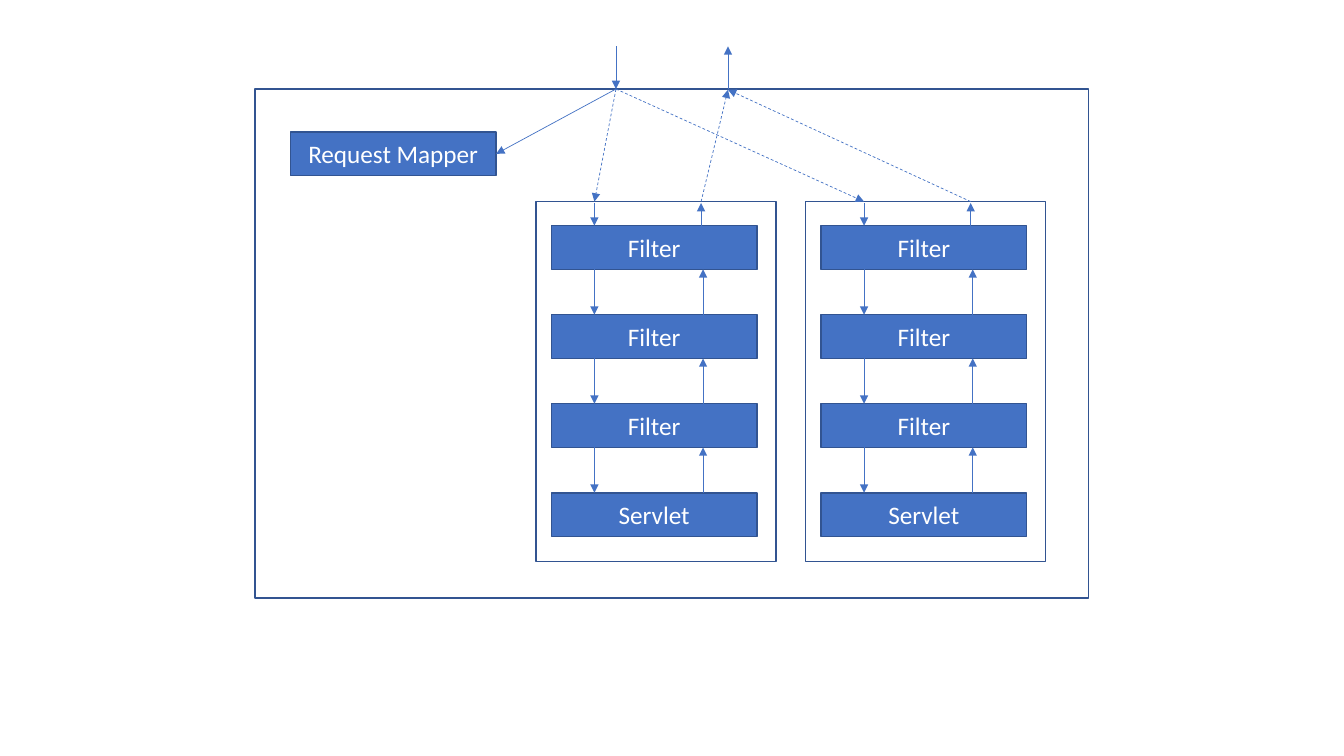
from typing import NamedTuple

from lxml import etree
from pptx import Presentation
from pptx.dml.color import RGBColor
from pptx.enum.dml import MSO_LINE
from pptx.enum.shapes import MSO_CONNECTOR, MSO_SHAPE
from pptx.enum.text import MSO_ANCHOR, PP_ALIGN
from pptx.oxml.ns import qn
from pptx.shapes.shapetree import SlideShapes
from pptx.util import Pt

RECT = MSO_SHAPE.RECTANGLE
STRAIGHT = MSO_CONNECTOR.STRAIGHT
DASH = MSO_LINE.DASH
MIDDLE = MSO_ANCHOR.MIDDLE
CENTER = PP_ALIGN.CENTER

BLUE = RGBColor(0x44, 0x72, 0xC4)
NAVY = RGBColor(0x32, 0x54, 0x91)
WHITE = RGBColor(0xFF, 0xFF, 0xFF)

BOX_W, BOX_H = 147, 31.2
STEP = 63.6
STAGES = ("Filter", "Filter", "Filter", "Servlet")
CHAINS = (382.8, 575.4)
CHAIN_TOP, BOX_TOP = 144, 161.2
DOWN, UP, EXIT = 41.8, 119.4, 118
ENTRY_X, REPLY_X = 440, 520
EDGE, OUTER = 63.6, 33.1


class Box(NamedTuple):
    left: float
    top: float
    width: float = BOX_W
    height: float = BOX_H
    label: str = ""


class Arrow(NamedTuple):
    x1: float
    y1: float
    x2: float
    y2: float
    dashed: bool = False


def draw_box(shapes: SlideShapes, box: Box) -> None:
    shape = shapes.add_shape(
        RECT, Pt(box.left), Pt(box.top), Pt(box.width), Pt(box.height)
    )
    shape.shadow.inherit = False
    shape.line.color.rgb = NAVY
    shape.line.width = Pt(1)
    if not box.label:
        shape.fill.background()
        return
    shape.fill.solid()
    shape.fill.fore_color.rgb = BLUE
    frame = shape.text_frame
    frame.word_wrap = True
    frame.vertical_anchor = MIDDLE
    para = frame.paragraphs[0]
    para.text = box.label
    para.alignment = CENTER
    para.font.name = "Calibri"
    para.font.size = Pt(18)
    para.font.color.rgb = WHITE


def draw_arrow(shapes: SlideShapes, arrow: Arrow) -> None:
    line = shapes.add_connector(
        STRAIGHT, Pt(arrow.x1), Pt(arrow.y1), Pt(arrow.x2), Pt(arrow.y2)
    )
    line.line.color.rgb = BLUE
    line.line.width = Pt(0.5)
    if arrow.dashed:
        line.line.dash_style = DASH
    etree.SubElement(line.line._get_or_add_ln(), qn("a:tailEnd"), type="triangle")
    etree.SubElement(line._element.spPr, qn("a:effectLst"))


def draw_chain(shapes: SlideShapes, left: float) -> None:
    down, up, out = left + DOWN, left + UP, left + EXIT
    for row, label in enumerate(STAGES):
        top = BOX_TOP + row * STEP
        draw_box(shapes, Box(left + 11, top, label=label))
        if row:
            above = top - STEP + BOX_H
            draw_arrow(shapes, Arrow(down, above, down, top))
            draw_arrow(shapes, Arrow(up, top, up, above))
    draw_arrow(shapes, Arrow(down, CHAIN_TOP + 1, down, BOX_TOP))
    draw_arrow(shapes, Arrow(out, BOX_TOP, out, CHAIN_TOP + 1))
    draw_box(shapes, Box(left, CHAIN_TOP, 171.4, 257))


def main() -> None:
    deck = Presentation()
    deck.slide_width, deck.slide_height = Pt(960), Pt(540)
    shapes = deck.slides.add_slide(deck.slide_layouts[6]).shapes

    for left in CHAINS:
        draw_chain(shapes, left)
    draw_box(shapes, Box(182.2, EDGE, 595.4, 363.6))
    mapper = Box(207.4, 94.3, label="Request Mapper")
    draw_box(shapes, mapper)

    arrows = [
        Arrow(ENTRY_X, OUTER, ENTRY_X, EDGE),
        Arrow(REPLY_X, EDGE, REPLY_X, OUTER),
        Arrow(ENTRY_X, EDGE, mapper.left + BOX_W, mapper.top + BOX_H / 2),
    ]
    for left in CHAINS:
        arrows.append(Arrow(ENTRY_X, EDGE, left + DOWN, CHAIN_TOP, True))
        arrows.append(Arrow(left + EXIT, CHAIN_TOP, REPLY_X, EDGE + 0.5, True))
    for arrow in arrows:
        draw_arrow(shapes, arrow)

    deck.save("out.pptx")


if __name__ == "__main__":
    main()
